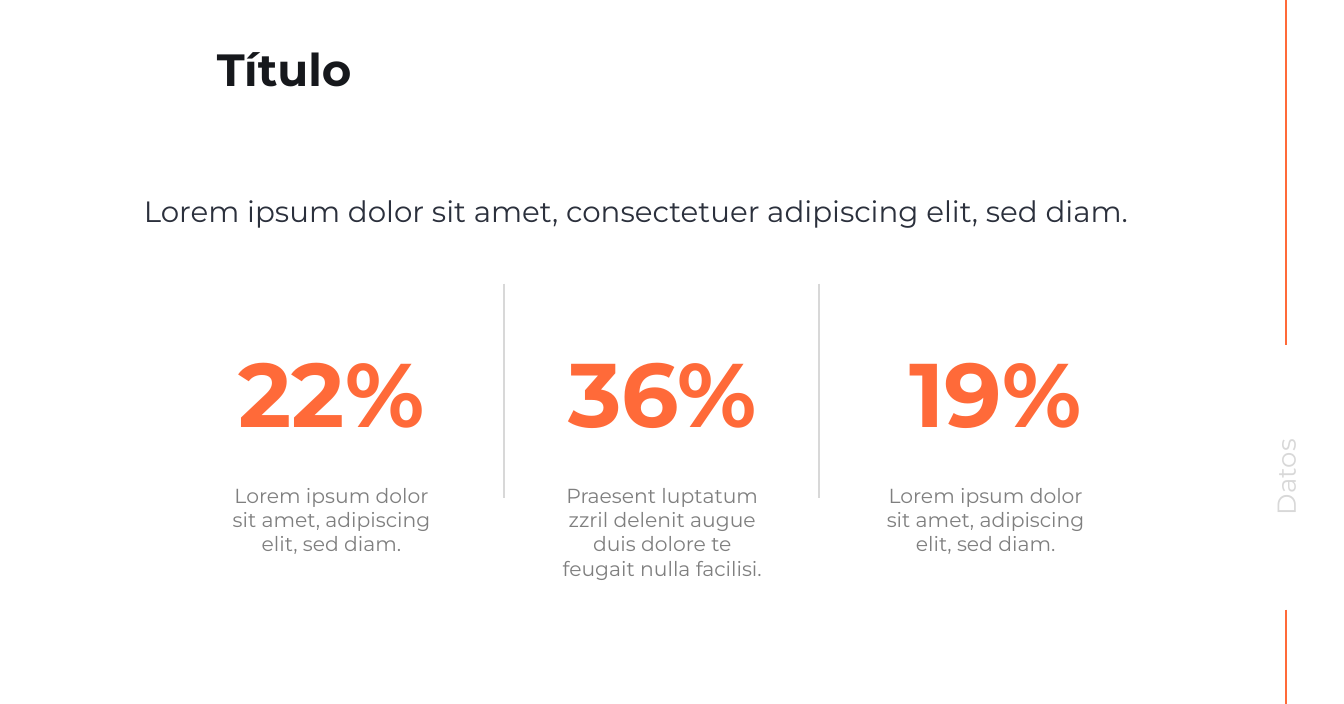
from dataclasses import dataclass

from lxml import etree
from pptx import Presentation
from pptx.dml.color import RGBColor
from pptx.enum.shapes import MSO_CONNECTOR
from pptx.enum.text import MSO_ANCHOR, MSO_AUTO_SIZE, PP_ALIGN
from pptx.oxml.ns import qn
from pptx.util import Inches, Pt

STRAIGHT = MSO_CONNECTOR.STRAIGHT
TOP, MIDDLE = MSO_ANCHOR.TOP, MSO_ANCHOR.MIDDLE
LEFT, CENTER = PP_ALIGN.LEFT, PP_ALIGN.CENTER
NO_FIT = MSO_AUTO_SIZE.NONE

TITLE = "Título"
SECTION = "Datos"
INTRO = "Lorem ipsum dolor sit amet, consectetuer adipiscing elit, sed diam."
FIGURES = [
    ("22%", 4.08, "Lorem ipsum dolor sit amet, adipiscing elit, sed diam.", 4.08),
    ("36%", 8.15, "Praesent luptatum zzril delenit augue duis dolore te feugait nulla facilisi.", 8.15),
    ("19%", 12.25, "Lorem ipsum dolor sit amet, adipiscing elit, sed diam.", 12.13),
]
SLIDE_WIDTH, SLIDE_HEIGHT = 16.54, 8.66
RAIL_X = 15.83
RAIL_SPANS = [(0, 4.24), (7.5, SLIDE_HEIGHT)]
DIVIDER_XS = [6.2, 10.08]
DIVIDER_SPAN = (3.49, 6.13)
NUMBER_WIDTH, CAPTION_WIDTH, SECTION_WIDTH = 3.51, 2.79, 3.29


@dataclass(frozen=True)
class Style:
    """Type size, colour and weight of one kind of text."""
    size: float
    color: str
    bold: bool = False


@dataclass(frozen=True)
class Theme:
    """Colours, type and line weights of the slide."""
    font: str = "Montserrat"
    inset: float = 0.16
    background: str = "FFFFFF"
    accent: str = "FF6A39"
    rule: str = "D8D8D8"
    rail_weight: float = 1.5
    divider_weight: float = 2.25
    title: Style = Style(40, "16181C", True)
    intro: Style = Style(26, "2B303C")
    number: Style = Style(80, "FF6A39", True)
    caption: Style = Style(18, "7F7F7F")
    section: Style = Style(23, "D8D8D8")


THEME = Theme()


def write(box, text, style, align=LEFT, anchor=TOP):
    """Put one styled paragraph into a box."""
    frame = box.text_frame
    frame.text = text
    frame.word_wrap = True
    frame.auto_size = NO_FIT
    frame.vertical_anchor = anchor
    frame.margin_left = frame.margin_right = Inches(THEME.inset)
    frame.margin_top = frame.margin_bottom = Inches(THEME.inset)
    para = frame.paragraphs[0]
    para.alignment = align
    font = para.runs[0].font
    font.name = THEME.font
    font.size = Pt(style.size)
    font.bold = style.bold
    font.color.rgb = RGBColor.from_string(style.color)


def add_text(page, area, *content):
    """Add a text box over an area and fill it."""
    box = page.shapes.add_textbox(*map(Inches, area))
    write(box, *content)
    return box


def add_rule(page, x, span, color, weight):
    """Add a vertical line without shadow."""
    top, bottom = span
    line = page.shapes.add_connector(
        STRAIGHT, Inches(x), Inches(top), Inches(x), Inches(bottom))
    line.line.color.rgb = RGBColor.from_string(color)
    line.line.width = Pt(weight)
    etree.SubElement(line._element.spPr, qn("a:effectLst"))


def build():
    """Build the slide with three key figures."""
    deck = Presentation()
    deck.slide_width, deck.slide_height = Inches(SLIDE_WIDTH), Inches(SLIDE_HEIGHT)
    page = deck.slides.add_slide(deck.slide_layouts[5])
    page.background.fill.solid()
    page.background.fill.fore_color.rgb = RGBColor.from_string(THEME.background)

    title = page.shapes.title
    title.left, title.top = Inches(2.51), Inches(0.45)
    title.width, title.height = Inches(10.08), Inches(0.78)
    write(title, TITLE, THEME.title, LEFT, MIDDLE)

    for span in RAIL_SPANS:
        add_rule(page, RAIL_X, span, THEME.accent, THEME.rail_weight)
    section_area = (RAIL_X - SECTION_WIDTH / 2, 5.51, SECTION_WIDTH, 0.72)
    section = add_text(page, section_area, SECTION, THEME.section, CENTER)
    section.rotation = 270

    for x in DIVIDER_XS:
        add_rule(page, x, DIVIDER_SPAN, THEME.rule, THEME.divider_weight)
    for number, number_x, caption, caption_x in FIGURES:
        number_area = (number_x - NUMBER_WIDTH / 2, 3.33, NUMBER_WIDTH, 2.96)
        add_text(page, number_area, number, THEME.number, CENTER, MIDDLE)
        caption_area = (caption_x - CAPTION_WIDTH / 2, 5.78, CAPTION_WIDTH, 2.09)
        add_text(page, caption_area, caption, THEME.caption, CENTER)

    add_text(page, (1.61, 2.22, 13.09, 1.9), INTRO, THEME.intro)
    deck.save("out.pptx")


if __name__ == "__main__":
    build()
